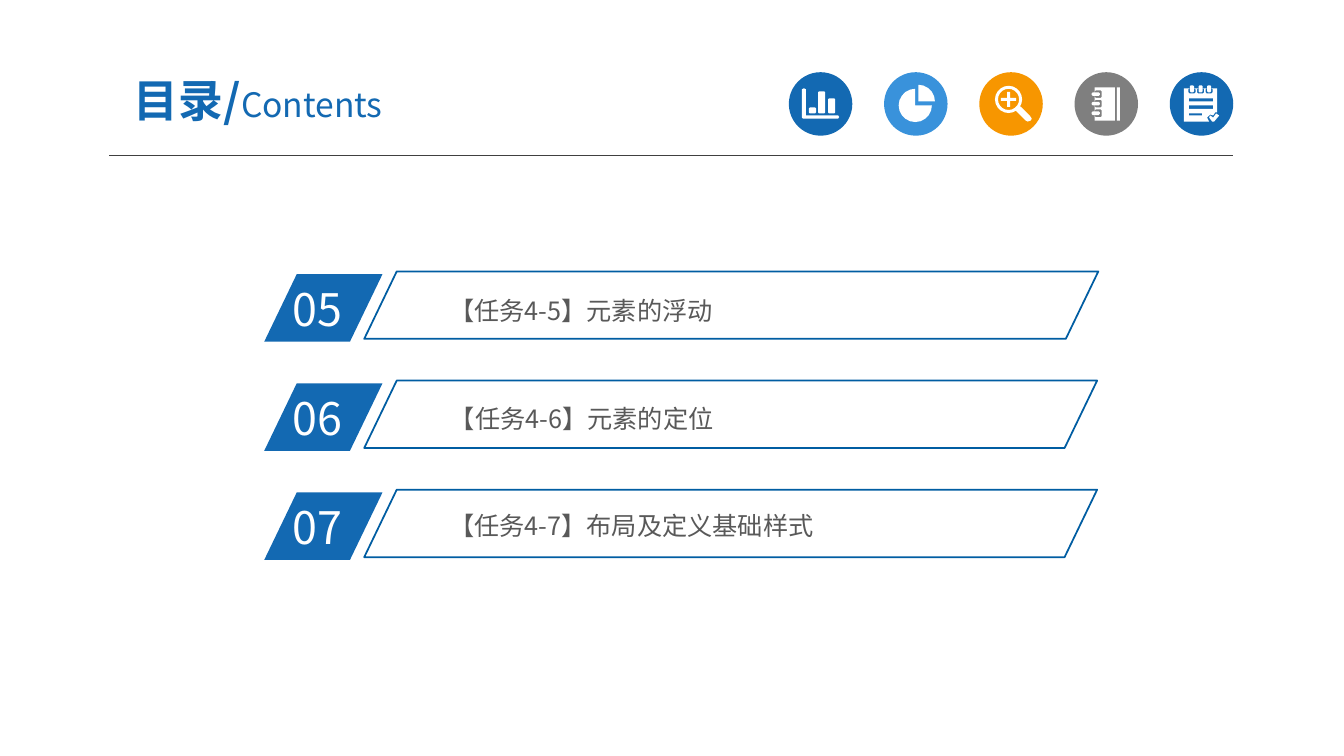
from math import cos, radians, sin

from pptx import Presentation
from pptx.dml.color import RGBColor
from pptx.enum.shapes import MSO_CONNECTOR, MSO_SHAPE
from pptx.enum.text import MSO_ANCHOR, PP_ALIGN
from pptx.oxml.ns import qn
from pptx.util import Cm, Pt

FONT = "Noto Sans CJK SC"
COLOURS = {
    "blue": "1369B2", "sky": "3992DB", "orange": "F79600", "grey": "7F7F7F",
    "rule": "404040", "outline": "005DA2", "text": "595959", "white": "FFFFFF",
}
TITLE = [("目录/", 32, True), ("Contents", 24, False)]
TASKS = [  # number, label, left and top of the label, width of the outline
    ("05", "【任务4-5】元素的浮动", 11.14, 7.33, 18.5),
    ("06", "【任务4-6】元素的定位", 11.16, 10.07, 18.47),
    ("07", "【任务4-7】布局及定义基础样式", 11.14, 12.75, 18.47),
]
FIRST_ROW, ROW_PITCH = 6.91, 2.75
ROW_HEIGHT, SLANT = 1.7, 0.482
BADGE_DIAMETER, FIRST_BADGE, BADGE_PITCH, BADGE_TOP = 1.6, 19.88, 2.4, 1.82
BADGE_UNITS = 63  # icon outlines are drawn on a grid this wide
FINE = 10  # steps per grid unit


def arc(x, y, radius, start=0, end=360):
    """Points along an arc, clockwise from east, in degrees."""
    angles = [radians(angle) for angle in range(start, end + 1, 18)]
    return [(x + radius * cos(a), y + radius * sin(a)) for a in angles]


def slab(left, top, width, height, cut=0):
    """Outline of a rectangle, with its corners cut if asked."""
    right, bottom = left + width, top + height
    if not cut:
        return [(left, top), (right, top), (right, bottom), (left, bottom)]
    return [
        (left + cut, top), (right - cut, top), (right, top + cut), (right, bottom - cut),
        (right - cut, bottom), (left + cut, bottom), (left, bottom - cut), (left, top + cut),
    ]


# Each icon is a list of outlines; an outline inside another cuts a hole.
BAR_CHART = [
    [(13, 17), (15, 16), (17, 17), (17, 43), (49, 43), (50, 44.5), (49, 46), (14, 46), (13, 45)],
    slab(20, 35, 7, 6, 1), slab(29, 19, 7, 22, 1), slab(39, 26, 7, 15, 1),
]
PIE_CHART = [
    [(34, 29)] + arc(34, 29, 16.5, -90, 0),
    [(31, 33)] + arc(31, 33, 16.5, 0, 270),
]
MAGNIFIER = [
    arc(29, 27, 13.5), arc(29, 27, 10.5),
    [(27.5, 19.5), (30.5, 19.5), (30.5, 25.5), (36.5, 25.5), (36.5, 28.5), (30.5, 28.5),
     (30.5, 34.5), (27.5, 34.5), (27.5, 28.5), (21.5, 28.5), (21.5, 25.5), (27.5, 25.5)],
    [(41, 34), (50, 43), (52, 46), (51, 48), (48, 49), (46, 48), (36.5, 38.5)],
]
NOTEBOOK = [slab(20, 15, 20, 33), slab(42, 15, 3, 33)]
for ring_top in (20, 29.5, 39):
    NOTEBOOK += [slab(20, ring_top - 2, 7, 7.5, 1), slab(17, ring_top, 8, 3.5, 1)]
NOTEPAD = [
    [(14, 16), (47, 16), (47, 40), (45, 40), (43, 43), (40, 42), (37, 45), (39, 49), (14, 49)],
    [(39, 45), (40, 43), (43, 45), (46, 41), (49, 43), (44, 49), (42, 49)],
    slab(19, 26, 24, 3), slab(19, 33, 24, 3.5), slab(19, 41, 13, 2),
]
for ring_left in (20, 28.5, 37):
    NOTEPAD += [slab(ring_left - 1.5, 16, 7, 5, 1), slab(ring_left, 13, 4, 7, 1)]
BADGES = [
    ("blue", BAR_CHART), ("sky", PIE_CHART), ("orange", MAGNIFIER),
    ("grey", NOTEBOOK), ("blue", NOTEPAD),
]


def colour(name):
    return RGBColor.from_string(COLOURS[name])


def paint(shape, fill=None, line=None):
    shape.shadow.inherit = False
    if fill:
        shape.fill.solid()
        shape.fill.fore_color.rgb = colour(fill)
    else:
        shape.fill.background()
    if line:
        shape.line.color.rgb = colour(line)
        shape.line.width = Pt(1.25)
    else:
        shape.line.fill.background()


def add_text(page, spans, ink, left, top, width, height, inset_x=0.25, inset_y=0.13):
    """Adds a one-line box; spans are (text, size, bold) tuples."""
    box = page.shapes.add_textbox(Cm(left), Cm(top), Cm(width), Cm(height))
    frame = box.text_frame
    frame.word_wrap = True
    frame.margin_left = frame.margin_right = Cm(inset_x)
    frame.margin_top = frame.margin_bottom = Cm(inset_y)
    for text, size, bold in spans:
        span = frame.paragraphs[0].add_run()
        span.text = text
        span.font.name = FONT
        span.font.size = Pt(size)
        span.font.bold = bold
        span.font.color.rgb = colour(ink)
        east_asian = span.font._element.makeelement(qn("a:ea"), {"typeface": FONT})
        span.font._element.find(qn("a:latin")).addnext(east_asian)
    return frame


def add_slanted(page, left, top, width, **style):
    shape = page.shapes.add_shape(
        MSO_SHAPE.PARALLELOGRAM, Cm(left), Cm(top), Cm(width), Cm(ROW_HEIGHT))
    shape.adjustments[0] = SLANT
    paint(shape, **style)


def add_badge(page, left, fill, outlines):
    size = Cm(BADGE_DIAMETER)
    circle = page.shapes.add_shape(MSO_SHAPE.OVAL, Cm(left), Cm(BADGE_TOP), size, size)
    paint(circle, fill=fill)
    fine = [[(x * FINE, y * FINE) for x, y in outline] for outline in outlines]
    builder = page.shapes.build_freeform(*fine[0][0], scale=size / (BADGE_UNITS * FINE))
    for i, outline in enumerate(fine):
        if i:
            builder.move_to(*outline[0])
        builder.add_line_segments(outline[1:], close=True)
    paint(builder.convert_to_shape(Cm(left), Cm(BADGE_TOP)), fill="white")


def add_header(page):
    rule = page.shapes.add_connector(
        MSO_CONNECTOR.STRAIGHT, Cm(2.75), Cm(3.92), Cm(31.07), Cm(3.92))
    rule.line.color.rgb = colour("rule")
    rule.line.width = Pt(0.75)
    properties = rule._element.spPr
    properties.append(properties.makeelement(qn("a:effectLst"), {}))
    for i, (fill, outlines) in enumerate(BADGES):
        add_badge(page, FIRST_BADGE + i * BADGE_PITCH, fill, outlines)
    title = add_text(page, TITLE, "blue", 2.33, 1.6, 8.36, 1.83, 0.33, 0.18)
    title.vertical_anchor = MSO_ANCHOR.MIDDLE
    title.paragraphs[0].alignment = PP_ALIGN.CENTER


def add_task(page, top, number, label, label_left, label_top, outline_width):
    add_slanted(page, 6.66, top, 2.98, fill="blue")
    add_text(page, [(number, 32, False)], "white", 7.12, top + 0.06, 2.84, 1.63)
    add_text(page, [(label, 18, False)], "text", label_left, label_top, 11.6, 0.97, 0.18, 0.1)
    add_slanted(page, 9.18, top - 0.07, outline_width, line="outline")


def main():
    deck = Presentation()
    deck.slide_width, deck.slide_height = Cm(33.87), Cm(19.05)
    page = deck.slides.add_slide(deck.slide_layouts[6])
    add_header(page)
    for i, task in enumerate(TASKS):
        add_task(page, FIRST_ROW + i * ROW_PITCH, *task)
    deck.save("out.pptx")


if __name__ == "__main__":
    main()
